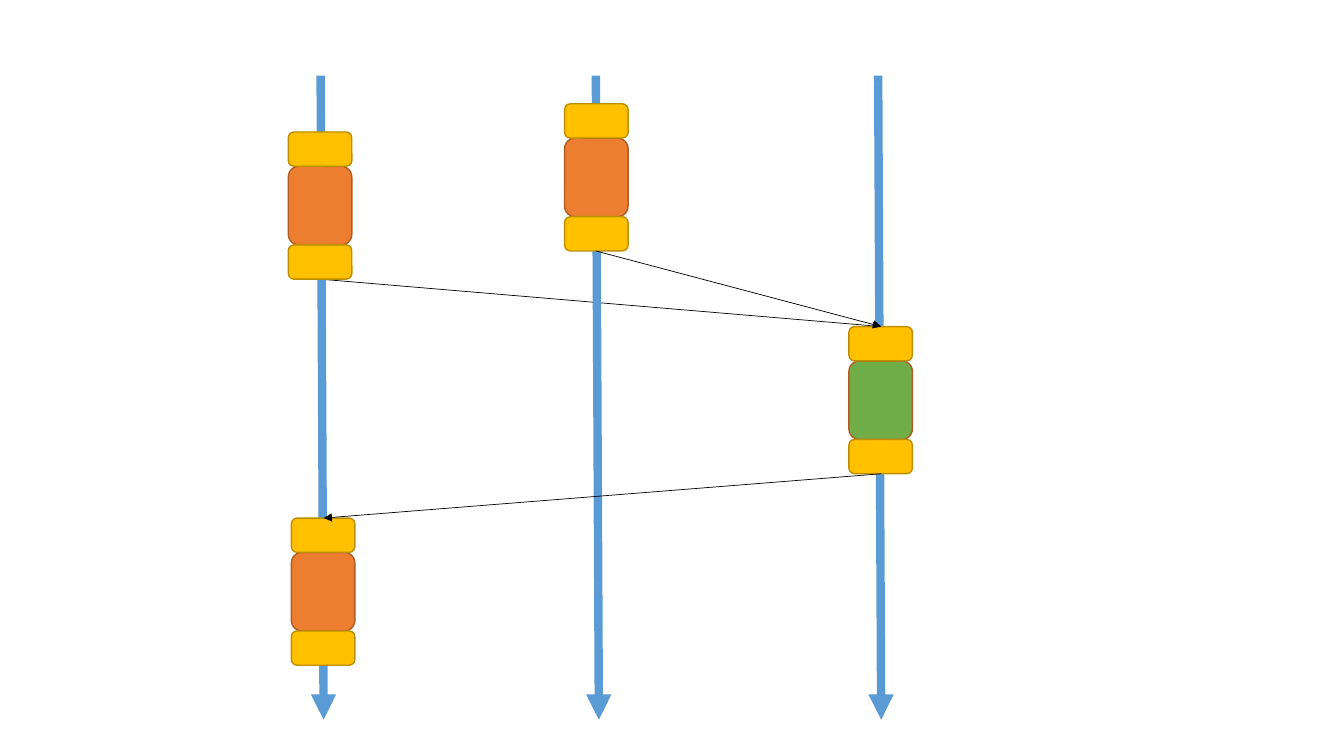
"""Build a sequence diagram with three lifelines, four tasks and three messages."""
from lxml.etree import SubElement
from pptx import Presentation
from pptx.dml.color import RGBColor
from pptx.enum.shapes import MSO_CONNECTOR as LINK, MSO_SHAPE as SHAPE
from pptx.oxml.ns import qn
from pptx.util import Pt

PX = 9144
BLUE = RGBColor(0x5B, 0x9B, 0xD5)
BLACK = RGBColor(0, 0, 0)
ORANGE = RGBColor(0xED, 0x7D, 0x31)
RUST = RGBColor(0xAF, 0x5C, 0x24)
GREEN = RGBColor(0x70, 0xAD, 0x47)
GOLD = RGBColor(0xFF, 0xC0, 0x00)
BROWN = RGBColor(0xBD, 0x8E, 0x00)

deck = Presentation()
deck.slide_width = 1333 * PX
deck.slide_height = 750 * PX
slide = deck.slides.add_slide(deck.slide_layouts[6])


def add_arrow(start, end, color, width):
    ends = [n * PX for n in (*start, *end)]
    arrow = slide.shapes.add_connector(LINK.STRAIGHT, *ends)
    arrow.line.color.rgb = color
    arrow.line.width = Pt(width)
    SubElement(arrow.line._get_or_add_ln(), qn("a:tailEnd"), type="triangle")
    SubElement(arrow._element.spPr, qn("a:effectLst"))


def add_box(left, top, height, fill, edge):
    box = slide.shapes.add_shape(
        SHAPE.ROUNDED_RECTANGLE, left * PX, top * PX, 63 * PX, height * PX)
    box.shadow.inherit = False
    box.fill.solid()
    box.fill.fore_color.rgb = fill
    box.line.color.rgb = edge
    box.line.width = Pt(1)


TOP, FOOT, LEAN = 75, 714, 3
CAP, CORE = 34, 78

for x in (318, 871):
    add_arrow((x, TOP), (x + LEAN, FOOT), BLUE, 6)
add_arrow((318, 277), (874, 324), BLACK, 0.5)
add_arrow((591, TOP), (591 + LEAN, FOOT), BLUE, 6)

tasks = [
    (286, 131, ORANGE),
    (560, 103, ORANGE),
    (842, 324, GREEN),
    (289, 514, ORANGE),
]
for left, top, fill in tasks:
    add_box(left, top + CAP, CORE, fill, RUST)
    for y in (top, top + CAP + CORE):
        add_box(left, y, CAP, GOLD, BROWN)

for start, end in [((591, 249), (874, 324)), ((874, 470), (321, 514))]:
    add_arrow(start, end, BLACK, 0.5)

deck.save("out.pptx")
